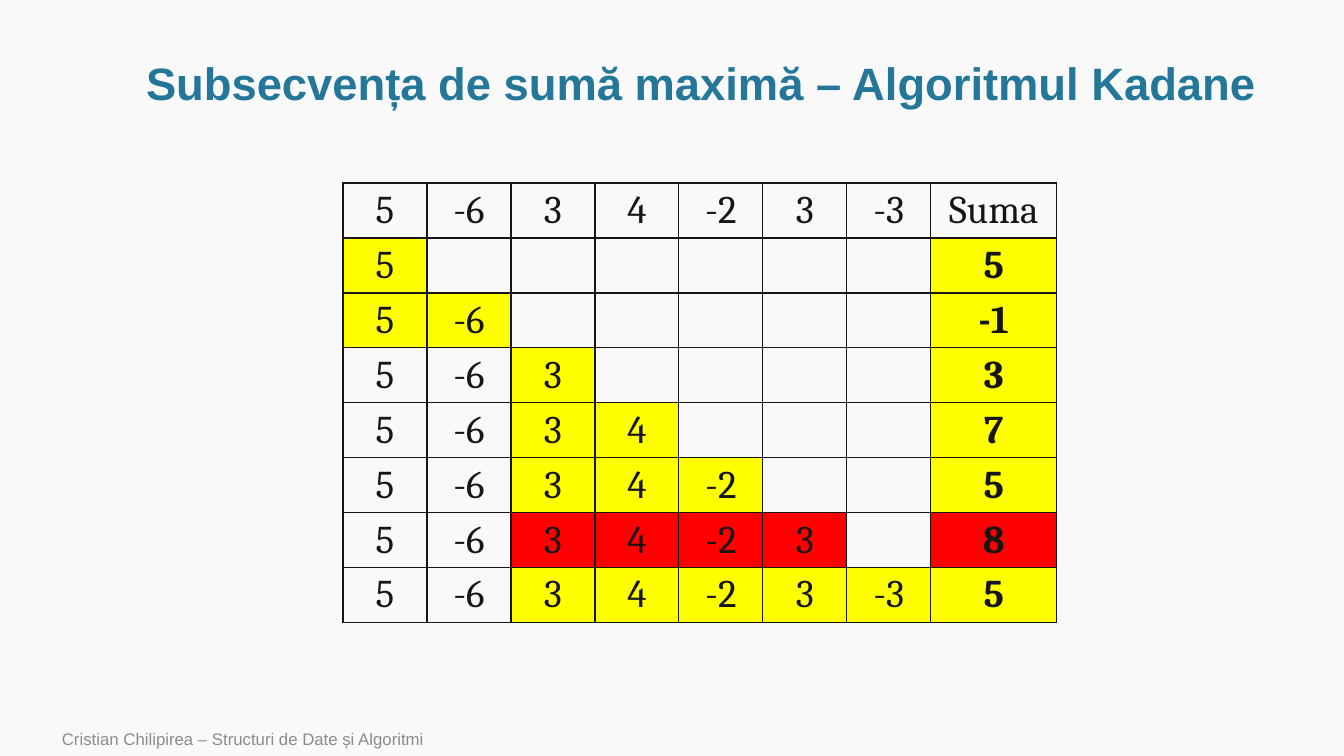
from lxml import etree
from pptx import Presentation
from pptx.dml.color import RGBColor
from pptx.enum.text import MSO_ANCHOR as ANCHOR, PP_ALIGN as ALIGN
from pptx.oxml.ns import qn
from pptx.util import Pt

# Content
TITLE = "Subsecvența de sumă maximă – Algoritmul Kadane"
FOOTER = "Cristian Chilipirea – Structuri de Date și Algoritmi"
VALUES = [5, -6, 3, 4, -2, 3, -3]
SUM_HEADER = "Suma"
# One step per value: first column of the current subsequence, its sum
STEPS = [(0, 5), (0, -1), (2, 3), (2, 7), (2, 5), (2, 8), (2, 5)]

BACKGROUND = RGBColor(0xF9, 0xF9, 0xF9)
TEAL = RGBColor(0x24, 0x77, 0x98)
GRAY = RGBColor(0x8C, 0x8C, 0x8C)
INK = RGBColor(0x17, 0x16, 0x16)
YELLOW = RGBColor(0xFF, 0xFF, 0x00)
RED = RGBColor(0xFF, 0x00, 0x00)

# Layout in px
SLIDE_W, SLIDE_H = 1344, 756
TITLE_BOX = (115, 51, 1172, 70)
FOOTER_BOX = (52, 722, 847, 34)
TABLE_X, TABLE_Y = 343, 183
VALUE_W, SUM_W, ROW_H = 84, 126, 55
CELL_MARGIN = 3


def px(n):
    return round(n * 914400 / 100.8)


def write(tf, text, size, color, font="Arial", bold=False, align=ALIGN.LEFT, spacing=None):
    p = tf.paragraphs[0]
    p.alignment = align
    p.line_spacing = spacing
    r = p.add_run()
    r.text = str(text)
    r.font.name = font
    r.font.size = Pt(size)
    r.font.bold = bold
    r.font.color.rgb = color


def add_text(s, box, text, **fmt):
    tf = s.shapes.add_textbox(*map(px, box)).text_frame
    tf.word_wrap = True
    tf.vertical_anchor = ANCHOR.MIDDLE
    write(tf, text, **fmt)


def style_cell(cell, fill):
    cell.margin_top = cell.margin_bottom = px(CELL_MARGIN)
    cell.vertical_anchor = ANCHOR.MIDDLE
    # Borders come before the fill in the cell properties
    tc_pr = cell._tc.get_or_add_tcPr()
    for side in ("a:lnL", "a:lnR", "a:lnT", "a:lnB"):
        ln = etree.SubElement(tc_pr, qn(side), w=str(Pt(1)))
        solid = etree.SubElement(ln, qn("a:solidFill"))
        etree.SubElement(solid, qn("a:srgbClr"), val=str(INK))
    if fill is None:
        cell.fill.background()
    else:
        cell.fill.solid()
        cell.fill.fore_color.rgb = fill


def add_steps_table(s):
    n = len(VALUES)
    best = max(total for _, total in STEPS)
    # Each row: texts, fills
    rows = [(VALUES + [SUM_HEADER], [None] * (n + 1))]
    for i, (start, total) in enumerate(STEPS):
        mark = RED if total == best else YELLOW
        texts = VALUES[:i + 1] + [""] * (n - i - 1) + [total]
        fills = [mark if start <= c <= i or c == n else None for c in range(n + 1)]
        rows.append((texts, fills))

    widths = [VALUE_W] * n + [SUM_W]
    table = s.shapes.add_table(len(rows), n + 1, px(TABLE_X), px(TABLE_Y),
                               px(sum(widths)), px(ROW_H * len(rows))).table
    table.first_row = table.horz_banding = False
    for column, width in zip(table.columns, widths):
        column.width = px(width)
    for i, (texts, fills) in enumerate(rows):
        table.rows[i].height = px(ROW_H)
        for c, (text, fill) in enumerate(zip(texts, fills)):
            cell = table.cell(i, c)
            style_cell(cell, fill)
            if text != "":
                write(cell.text_frame, text, size=28, color=INK, font="Cambria",
                      bold=i > 0 and c == n, align=ALIGN.CENTER)


def main():
    prs = Presentation()
    prs.slide_width, prs.slide_height = px(SLIDE_W), px(SLIDE_H)
    s = prs.slides.add_slide(prs.slide_layouts[6])
    s.background.fill.solid()
    s.background.fill.fore_color.rgb = BACKGROUND

    add_text(s, FOOTER_BOX, FOOTER, size=12, color=GRAY)
    add_text(s, TITLE_BOX, TITLE, size=32.4, color=TEAL, bold=True,
             align=ALIGN.CENTER, spacing=0.9)
    add_steps_table(s)
    prs.save("out.pptx")


if __name__ == "__main__":
    main()
